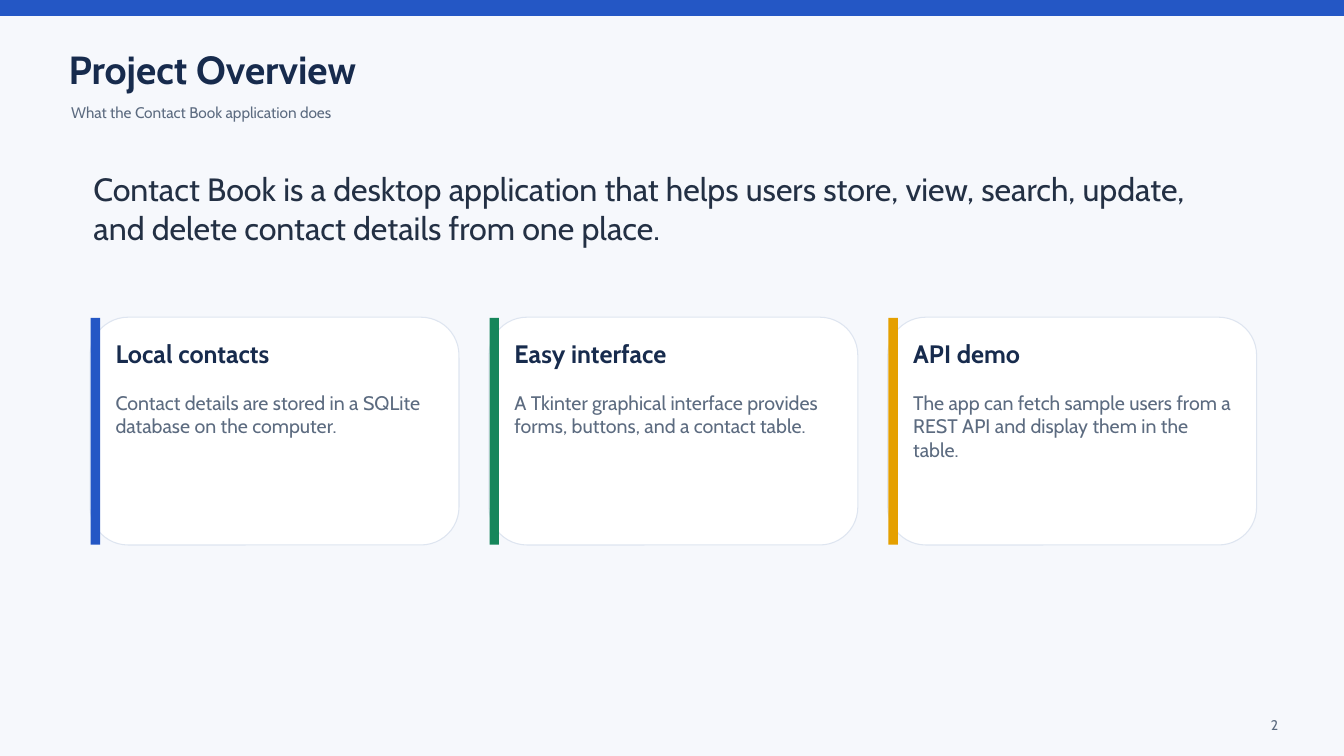
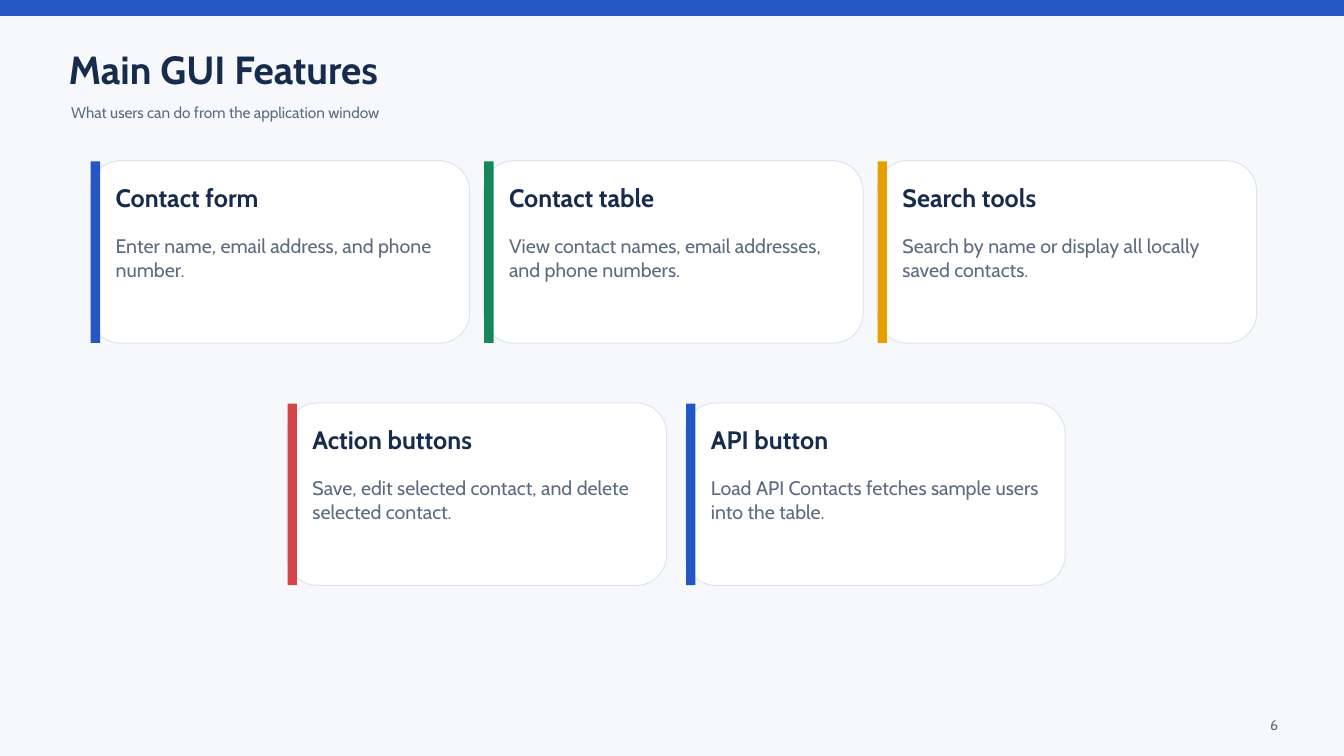
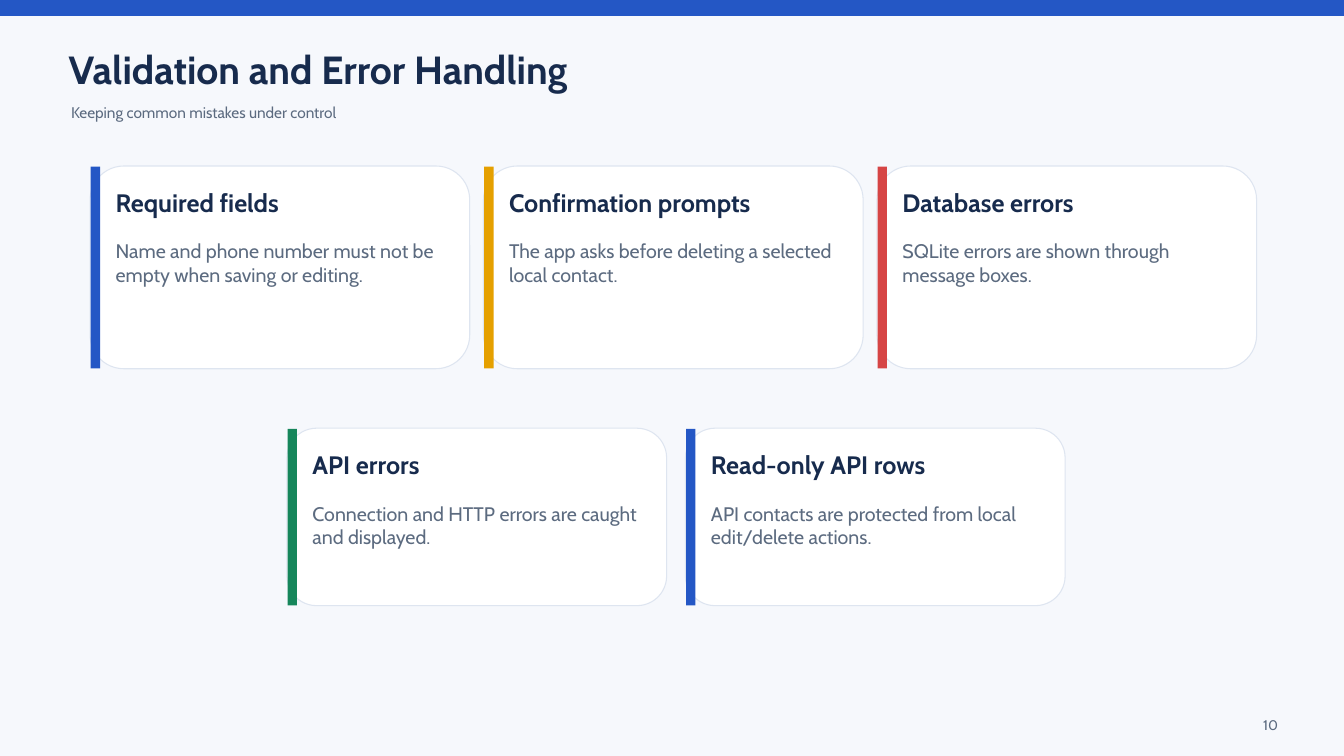
from pptx import Presentation
from pptx.dml.color import RGBColor
from pptx.enum.shapes import MSO_SHAPE as Shape
from pptx.enum.text import PP_ALIGN as Align
from pptx.util import Inches, Pt

# Shared look; lengths below are percent of the slide's width and height
W, H = Inches(20), Inches(11.25)
PAPER, WHITE, EDGE = "F6F8FC", "FFFFFF", "DEE5F0"
NAVY, INK, GREY = "172B4D", "233044", "5C6B80"
BLUE, GREEN, GOLD, RED = "2457C5", "16865B", "E5A000", "D64545"
LEFT, SPAN = 6.7, 86.8

# Text styles: font values, colour, line spacing in points, alignment
STYLES = {
    "title": (dict(size=Pt(42), bold=True), NAVY, 50.4, Align.LEFT),
    "sub": (dict(size=Pt(16.5), bold=False), GREY, 19.8, Align.LEFT),
    "page": (dict(size=Pt(15), bold=False), GREY, 18, Align.RIGHT),
    "lead": (dict(size=Pt(34.5), bold=False), INK, 41.4, Align.LEFT),
    "head": (dict(size=Pt(27), bold=True), NAVY, 32.4, Align.LEFT),
    "body": (dict(size=Pt(21), bold=False), GREY, 25.2, Align.LEFT),
}

# Slides: title, subtitle, page, lead text, card rows
# Row: top, card width, card height, cards of (accent, head, body)
DECK = [
    ("Project Overview", "What the Contact Book application does", "2",
     "Contact Book is a desktop application that helps users store, view, "
     "search, update, and delete contact details from one place.", [
         (41.96, 27.45, 30.13, [
             (BLUE, "Local contacts",
              "Contact details are stored in a SQLite database on the computer."),
             (GREEN, "Easy interface",
              "A Tkinter graphical interface provides forms, buttons, and a contact table."),
             (GOLD, "API demo",
              "The app can fetch sample users from a REST API and display them in the table."),
         ]),
     ]),
    ("Main GUI Features", "What users can do from the application window", "6", "", [
        (21.26, 28.25, 24.14, [
            (BLUE, "Contact form", "Enter name, email address, and phone number."),
            (GREEN, "Contact table",
             "View contact names, email addresses, and phone numbers."),
            (GOLD, "Search tools",
             "Search by name or display all locally saved contacts."),
        ]),
        (53.3, 28.25, 24.14, [
            (RED, "Action buttons",
             "Save, edit selected contact, and delete selected contact."),
            (BLUE, "API button",
             "Load API Contacts fetches sample users into the table."),
        ]),
    ]),
    ("Validation and Error Handling", "Keeping common mistakes under control", "10", "", [
        (21.96, 28.25, 26.82, [
            (BLUE, "Required fields",
             "Name and phone number must not be empty when saving or editing."),
            (GOLD, "Confirmation prompts",
             "The app asks before deleting a selected local contact."),
            (RED, "Database errors", "SQLite errors are shown through message boxes."),
        ]),
        (56.64, 28.25, 23.47, [
            (GREEN, "API errors", "Connection and HTTP errors are caught and displayed."),
            (BLUE, "Read-only API rows",
             "API contacts are protected from local edit/delete actions."),
        ]),
    ]),
]


def rgb(code):
    return RGBColor.from_string(code)


def draw(slide, x, y, w, h, fill=None, edge=None, text="", style=""):
    """Place a filled shape, or a text box when a style is named."""
    area = [int(n * side / 100) for n, side in zip((x, y, w, h), (W, H, W, H))]
    if not style:
        kind = Shape.ROUNDED_RECTANGLE if edge else Shape.RECTANGLE
        item = slide.shapes.add_shape(kind, *area)
        item.shadow.inherit = False
        item.fill.solid()
        item.fill.fore_color.rgb = rgb(fill)
        if edge:
            item.line.color.rgb = rgb(edge)
            item.line.width = Pt(1.13)
        else:
            item.line.fill.background()
        return
    face, tint, pitch, align = STYLES[style]
    frame = slide.shapes.add_textbox(*area).text_frame
    frame.word_wrap = True
    for side in ("left", "top", "right", "bottom"):
        setattr(frame, f"margin_{side}", 0)
    para = frame.paragraphs[0]
    para.alignment, para.line_spacing = align, Pt(pitch)
    run = para.add_run()
    run.text = text
    for key, value in dict(face, name="Cabin").items():
        setattr(run.font, key, value)
    run.font.color.rgb = rgb(tint)


deck = Presentation()
deck.slide_width, deck.slide_height = W, H

for title, sub, page, lead, rows in DECK:
    slide = deck.slides.add_slide(deck.slide_layouts[6])
    slide.background.fill.solid()
    slide.background.fill.fore_color.rgb = rgb(PAPER)

    # Top band, title, subtitle and page number
    draw(slide, 0, 0, 100, 2.1, BLUE)
    draw(slide, 5.1, 5.96, 88.15, 6.67, text=title, style="title")
    draw(slide, 5.3, 13.69, 86.65, 3.29, text=sub, style="sub")
    draw(slide, 91.75, 94.84, 3.35, 1.96, text=page, style="page")
    if lead:
        draw(slide, 6.95, 22.4, 84.4, 12.62, text=lead, style="lead")

    # Cards: three fill the span, two sit in the middle
    for top, wide, high, cards in rows:
        full = len(cards) == 3
        start = LEFT if full else 21.35
        step = (SPAN - wide) / 2 if full else 29.65
        for i, (accent, head, body) in enumerate(cards):
            x = start + i * step
            draw(slide, x, top, wide, high, WHITE, EDGE)
            draw(slide, x + 0.05, top + 0.08, 0.7, high - 0.12, accent)
            draw(slide, x + 1.9, top + 2.84, wide - 3.45, 4.89, text=head, style="head")
            draw(slide, x + 1.9, top + 9.69, wide - 3.6, high - 11.64, text=body, style="body")

deck.save("out.pptx")
